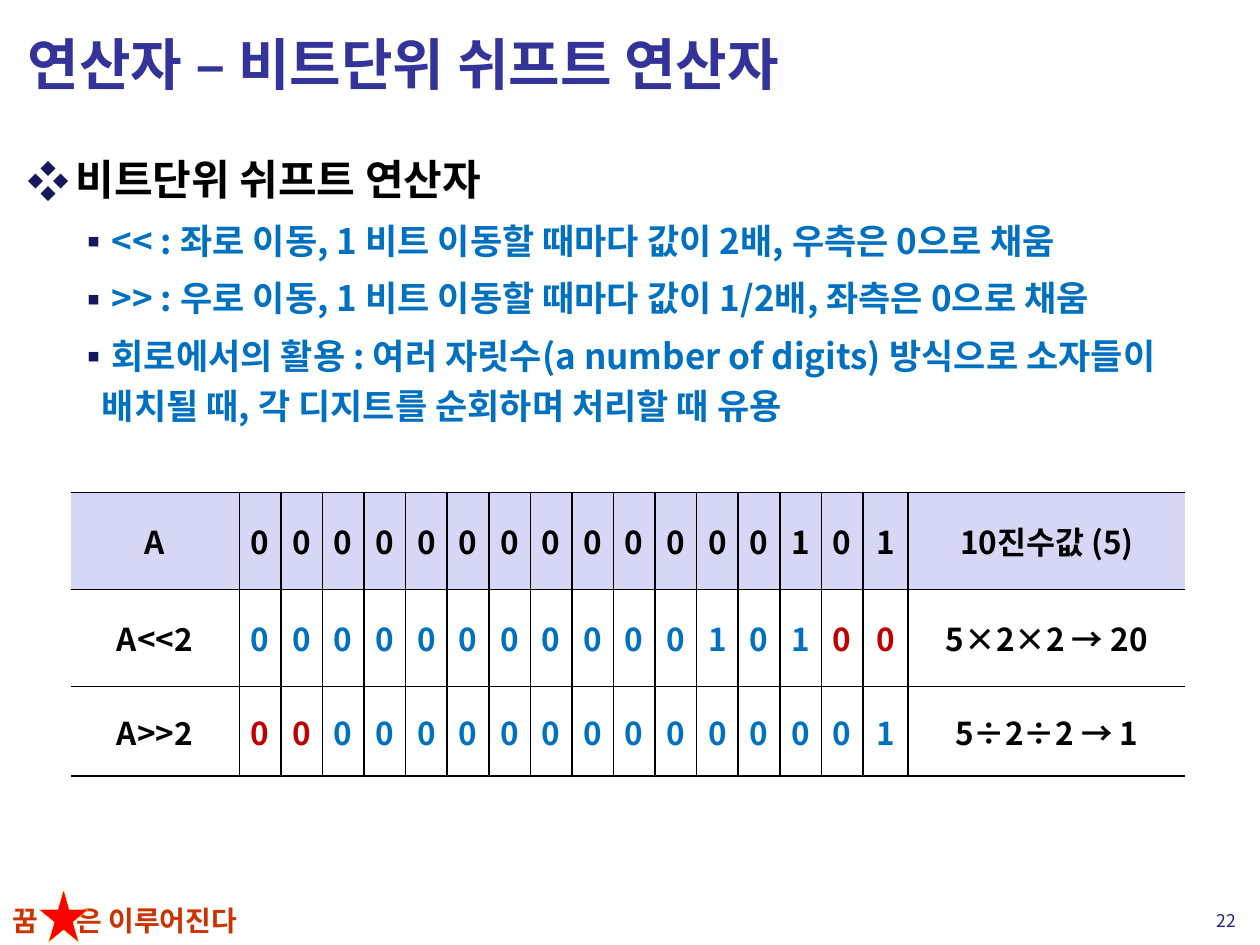
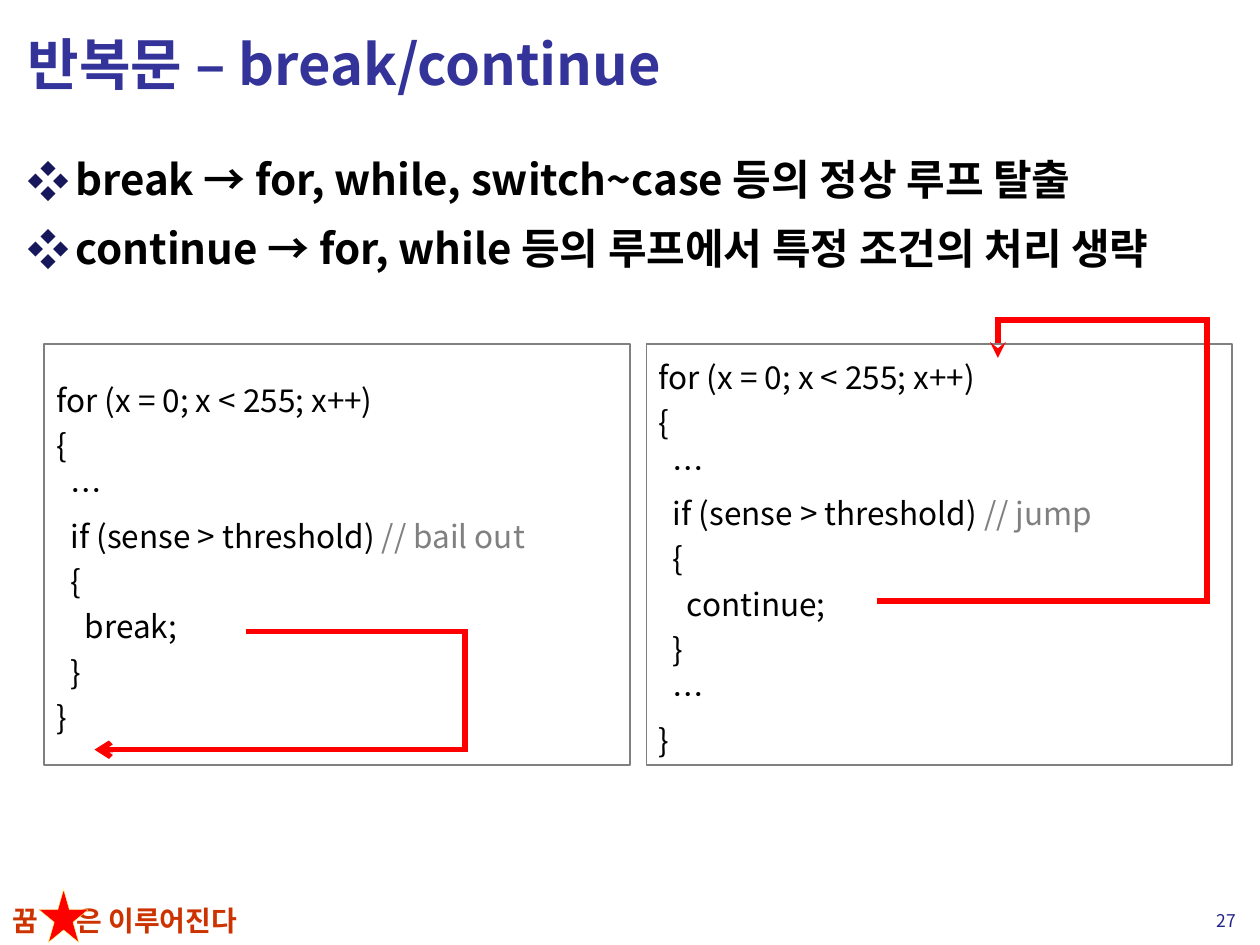
from itertools import product

from lxml import etree
from pptx import Presentation
from pptx.dml.color import RGBColor
from pptx.enum.shapes import MSO_SHAPE
from pptx.enum.text import MSO_ANCHOR, MSO_AUTO_SIZE, PP_ALIGN
from pptx.oxml.ns import qn
from pptx.util import Inches, Pt

LEFT, CENTER, RIGHT = PP_ALIGN.LEFT, PP_ALIGN.CENTER, PP_ALIGN.RIGHT
TOP, MIDDLE = MSO_ANCHOR.TOP, MSO_ANCHOR.MIDDLE
NO_FIT = MSO_AUTO_SIZE.NONE
STAR, RECTANGLE = MSO_SHAPE.STAR_5_POINT, MSO_SHAPE.RECTANGLE

THEME = {
    "font": "Noto Sans CJK KR",
    "title": {"size": 32, "color": "333399", "bold": True},
    "heading": {"size": 24, "color": "000000", "bold": True},
    "detail": {"size": 20, "color": "0070C0", "bold": True},
    "cell": {"size": 18, "color": "000000", "bold": True},
    "kept bit": {"size": 18, "color": "0070C0", "bold": True},
    "filled bit": {"size": 18, "color": "C00000", "bold": True},
    "code": {"size": 18, "color": "000000", "bold": False},
    "comment": {"size": 18, "color": "808080", "bold": False},
    "motto": {"size": 16, "color": "CC3300", "bold": True},
    "number": {"size": 10, "color": "22228B", "bold": False},
    "bullet": "17175C",
    "header": "D6D6F5",
    "paper": "FFFFFF",
    "ink": "000000",
    "frame": "808080",
    "arrow": "FF0000",
    "star": ("FF0000", "FFFF66"),
}
BULLETS = {"heading": ("❖", 0.38, 0.38), "detail": ("▪", 0.59, 0.2)}
CODE_LINE_SPACING = 1.44
SINGLE_SPACING = 1.2

WIDTH, HEIGHT = 10, 7.5
TITLE_BOX = (0.12, 0.06, 9.76, 0.88)
BODY_BOX = (0.12, 1.09, 9.79, 6.02)
MOTTO_BOX = (0, 7.12, 2.48, 0.37)
STAR_BOX = (0.31, 7.06, 0.39, 0.42)
NUMBER_BOX = (9.33, 7.15, 0.58, 0.31)
MOTTO = "꿈\t은 이루어진다"
MOTTO_TAB = 0.51

SHIFT_SLIDE = {
    "title": "연산자 – 비트단위 쉬프트 연산자",
    "number": "22",
    "body": [
        ("heading", "비트단위 쉬프트 연산자"),
        ("detail", "<< : 좌로 이동, 1 비트 이동할 때마다 값이 2배, 우측은 0으로 채움"),
        ("detail", ">> : 우로 이동, 1 비트 이동할 때마다 값이 1/2배, 좌측은 0으로 채움"),
        ("detail", "회로에서의 활용 : 여러 자릿수(a number of digits) 방식으로 소자들이 "
                   "배치될 때, 각 디지트를 순회하며 처리할 때 유용"),
    ],
}
SHIFT_ROWS = [
    ("A", "0000000000000101", "10진수값 (5)", ()),
    ("A<<2", "0000000000010100", "5×2×2 → 20", (14, 15)),
    ("A>>2", "0000000000000001", "5÷2÷2 → 1", (0, 1)),
]
TABLE_ORIGIN = (0.56, 3.91)
COLUMN_WIDTHS = [1.34] + [0.33] * 15 + [0.36, 2.2]
ROW_HEIGHTS = [0.77, 0.77, 0.71]

JUMP_SLIDE = {
    "title": "반복문 – break/continue",
    "number": "27",
    "body": [
        ("heading", "break → for, while, switch~case 등의 정상 루프 탈출"),
        ("heading", "continue → for, while 등의 루프에서 특정 조건의 처리 생략"),
    ],
}
CODE_PANELS = [
    {
        "code": """for (x = 0; x < 255; x++)
{
  …
  if (sense > threshold) // bail out
  {
    break;
  }
}""",
        "route": [(1.95, 5.01), (3.69, 5.01), (3.69, 5.95), (0.75, 5.95)],
        "head": "arrow",
    },
    {
        "code": """for (x = 0; x < 255; x++)
{
  …
  if (sense > threshold) // jump
  {
    continue;
  }
  …
}""",
        "route": [(6.96, 4.77), (9.58, 4.77), (9.58, 2.54), (7.92, 2.54), (7.92, 2.84)],
        "head": "stealth",
    },
]
PANEL_LEFT, PANEL_TOP, PANEL_WIDTH, PANEL_HEIGHT, PANEL_GAP = 0.35, 2.73, 4.65, 3.34, 0.13


def rgb(value):
    return RGBColor.from_string(value)


def apply(target, values):
    for name, value in values.items():
        setattr(target, name, value)


def lengths(box):
    return [Inches(value) for value in box]


def add_element(parent, tag, **attributes):
    return etree.SubElement(parent, qn(tag), attributes)


def add_run(paragraph, text, style):
    look = THEME[style]
    run = paragraph.add_run()
    run.text = text
    apply(run.font, {"name": THEME["font"], "size": Pt(look["size"]), "bold": look["bold"]})
    run.font.color.rgb = rgb(look["color"])
    add_element(run._r.get_or_add_rPr(), "a:ea", typeface=THEME["font"])


def set_frame(frame, anchor=TOP):
    apply(frame, {"word_wrap": True, "auto_size": NO_FIT, "vertical_anchor": anchor})
    return frame


def add_text(slide, box, anchor=TOP):
    return set_frame(slide.shapes.add_textbox(*lengths(box)).text_frame, anchor)


def paragraphs(frame, items):
    for index, item in enumerate(items):
        yield (frame.add_paragraph() if index else frame.paragraphs[0]), item


def add_bullet(paragraph, style):
    symbol, margin, hanging = BULLETS[style]
    properties = paragraph._p.get_or_add_pPr()
    properties.set("marL", str(Inches(margin)))
    properties.set("indent", str(-Inches(hanging)))
    add_element(add_element(properties, "a:buClr"), "a:srgbClr", val=THEME["bullet"])
    add_element(properties, "a:buFont", typeface=THEME["font"])
    add_element(properties, "a:buChar", char=symbol)


def set_shape(shape, fill, line, width):
    shape.shadow.inherit = False
    if fill:
        shape.fill.solid()
        shape.fill.fore_color.rgb = rgb(fill)
    else:
        shape.fill.background()
    shape.line.color.rgb = rgb(line)
    shape.line.width = Pt(width)


def add_footer(slide, number):
    paragraph = add_text(slide, MOTTO_BOX).paragraphs[0]
    tabs = add_element(paragraph._p.get_or_add_pPr(), "a:tabLst")
    add_element(tabs, "a:tab", pos=str(Inches(MOTTO_TAB)), algn="l")
    paragraph.line_spacing = Pt(THEME["motto"]["size"] * SINGLE_SPACING)
    add_run(paragraph, MOTTO, "motto")
    set_shape(slide.shapes.add_shape(STAR, *lengths(STAR_BOX)), *THEME["star"], 0.25)
    paragraph = add_text(slide, NUMBER_BOX, MIDDLE).paragraphs[0]
    paragraph.alignment = RIGHT
    add_run(paragraph, number, "number")


def add_slide(presentation, content):
    slide = presentation.slides.add_slide(presentation.slide_layouts[5])
    title = slide.shapes.title
    apply(title, dict(zip(("left", "top", "width", "height"), lengths(TITLE_BOX))))
    paragraph = set_frame(title.text_frame, MIDDLE).paragraphs[0]
    paragraph.alignment = LEFT
    add_run(paragraph, content["title"], "title")
    body = add_text(slide, BODY_BOX)
    for paragraph, (style, text) in paragraphs(body, content["body"]):
        size = THEME[style]["size"]
        add_bullet(paragraph, style)
        paragraph.line_spacing = Pt(size * CODE_LINE_SPACING)
        if paragraph._p is not body.paragraphs[0]._p:
            paragraph.space_before = Pt(size * 0.2)
        add_run(paragraph, text, style)
    add_footer(slide, content["number"])
    return slide


def set_borders(cell, column, last_column):
    properties = cell._tc.get_or_add_tcPr()
    visible = {"L": column > 0, "R": column < last_column, "T": True, "B": True}
    for side, shown in visible.items():
        line = add_element(properties, f"a:ln{side}", w=str(Pt(1)))
        if shown:
            add_element(add_element(line, "a:solidFill"), "a:srgbClr", val=THEME["ink"])
        else:
            add_element(line, "a:noFill")


def add_shift_table(slide):
    size = (sum(COLUMN_WIDTHS), sum(ROW_HEIGHTS))
    table = slide.shapes.add_table(
        len(ROW_HEIGHTS), len(COLUMN_WIDTHS), *lengths(TABLE_ORIGIN + size)
    ).table
    apply(table, {"first_row": False, "horz_banding": False})
    for column, width in zip(table.columns, COLUMN_WIDTHS):
        column.width = Inches(width)
    for row, height in zip(table.rows, ROW_HEIGHTS):
        row.height = Inches(height)
    last = len(COLUMN_WIDTHS) - 1
    for row, column in product(range(len(ROW_HEIGHTS)), range(last + 1)):
        label, bits, result, filled = SHIFT_ROWS[row]
        style = "cell"
        if row and 0 < column < last:
            style = "filled bit" if column - 1 in filled else "kept bit"
        cell = table.cell(row, column)
        set_borders(cell, column, last)
        cell.fill.solid()
        cell.fill.fore_color.rgb = rgb(THEME["paper" if row else "header"])
        apply(cell, {"vertical_anchor": MIDDLE, "margin_left": 0, "margin_right": 0})
        paragraph = cell.text_frame.paragraphs[0]
        paragraph.alignment = CENTER
        add_run(paragraph, [label, *bits, result][column], style)


def add_code_panel(slide, index, code):
    left = PANEL_LEFT + index * (PANEL_WIDTH + PANEL_GAP)
    box = lengths((left, PANEL_TOP, PANEL_WIDTH, PANEL_HEIGHT))
    panel = slide.shapes.add_shape(RECTANGLE, *box)
    set_shape(panel, THEME["paper"], THEME["frame"], 1)
    frame = set_frame(panel.text_frame, MIDDLE)
    for paragraph, line in paragraphs(frame, code.split("\n")):
        statement, mark, comment = line.partition("//")
        apply(paragraph, {
            "alignment": LEFT,
            "line_spacing": Pt(THEME["code"]["size"] * CODE_LINE_SPACING),
        })
        add_run(paragraph, statement, "code")
        if mark:
            add_run(paragraph, mark + comment, "comment")


def add_route(slide, points, head):
    start, *corners = [tuple(lengths(point)) for point in points]
    builder = slide.shapes.build_freeform(*start)
    builder.add_line_segments(corners, close=False)
    route = builder.convert_to_shape()
    set_shape(route, None, THEME["arrow"], 3)
    outline = route.line._get_or_add_ln()
    add_element(outline, "a:miter", lim="800000")
    add_element(outline, "a:tailEnd", type=head)


def main():
    presentation = Presentation()
    apply(presentation, {"slide_width": Inches(WIDTH), "slide_height": Inches(HEIGHT)})
    add_shift_table(add_slide(presentation, SHIFT_SLIDE))
    jump_slide = add_slide(presentation, JUMP_SLIDE)
    for index, panel in enumerate(CODE_PANELS):
        add_code_panel(jump_slide, index, panel["code"])
        add_route(jump_slide, panel["route"], panel["head"])
    presentation.save("out.pptx")


if __name__ == "__main__":
    main()
